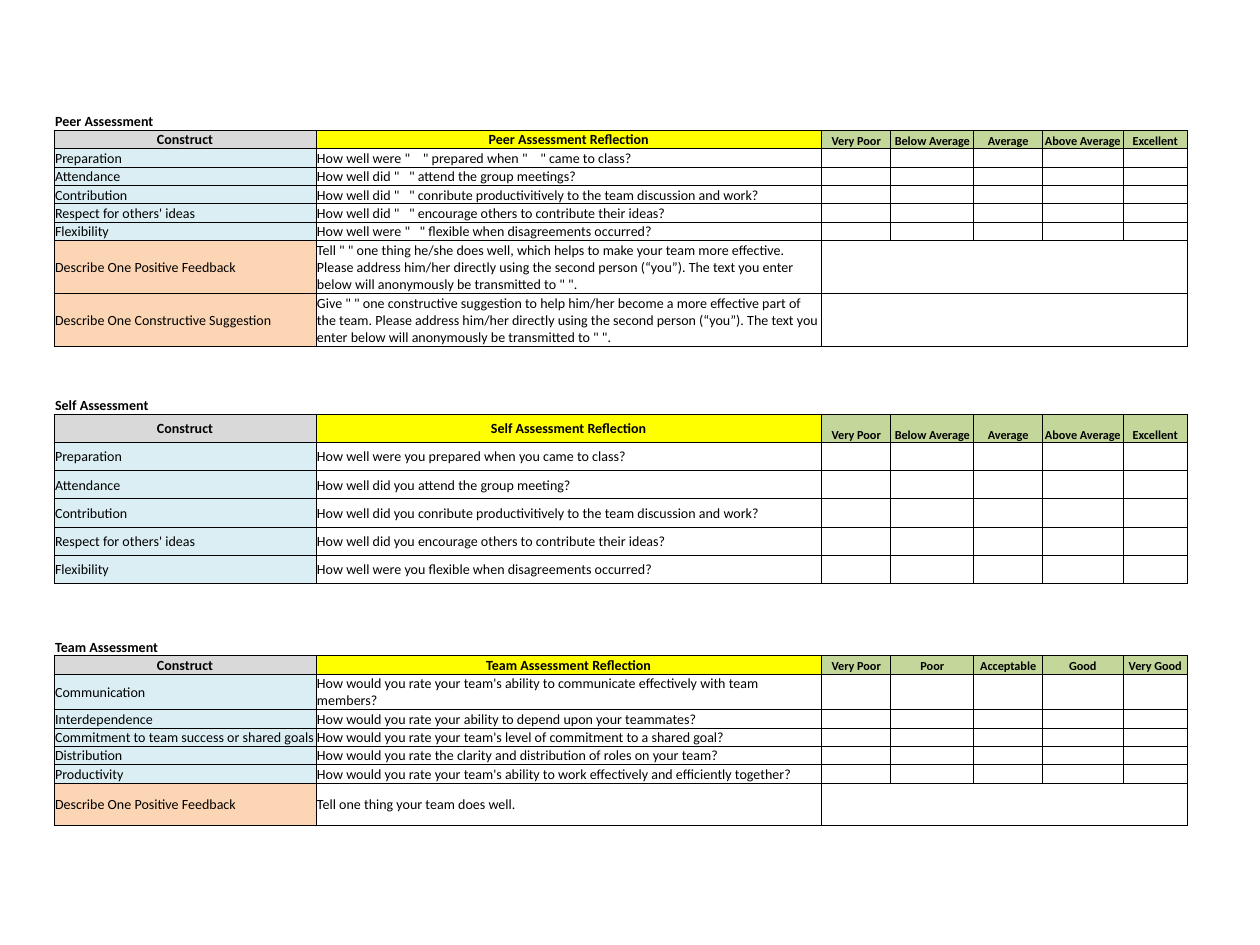
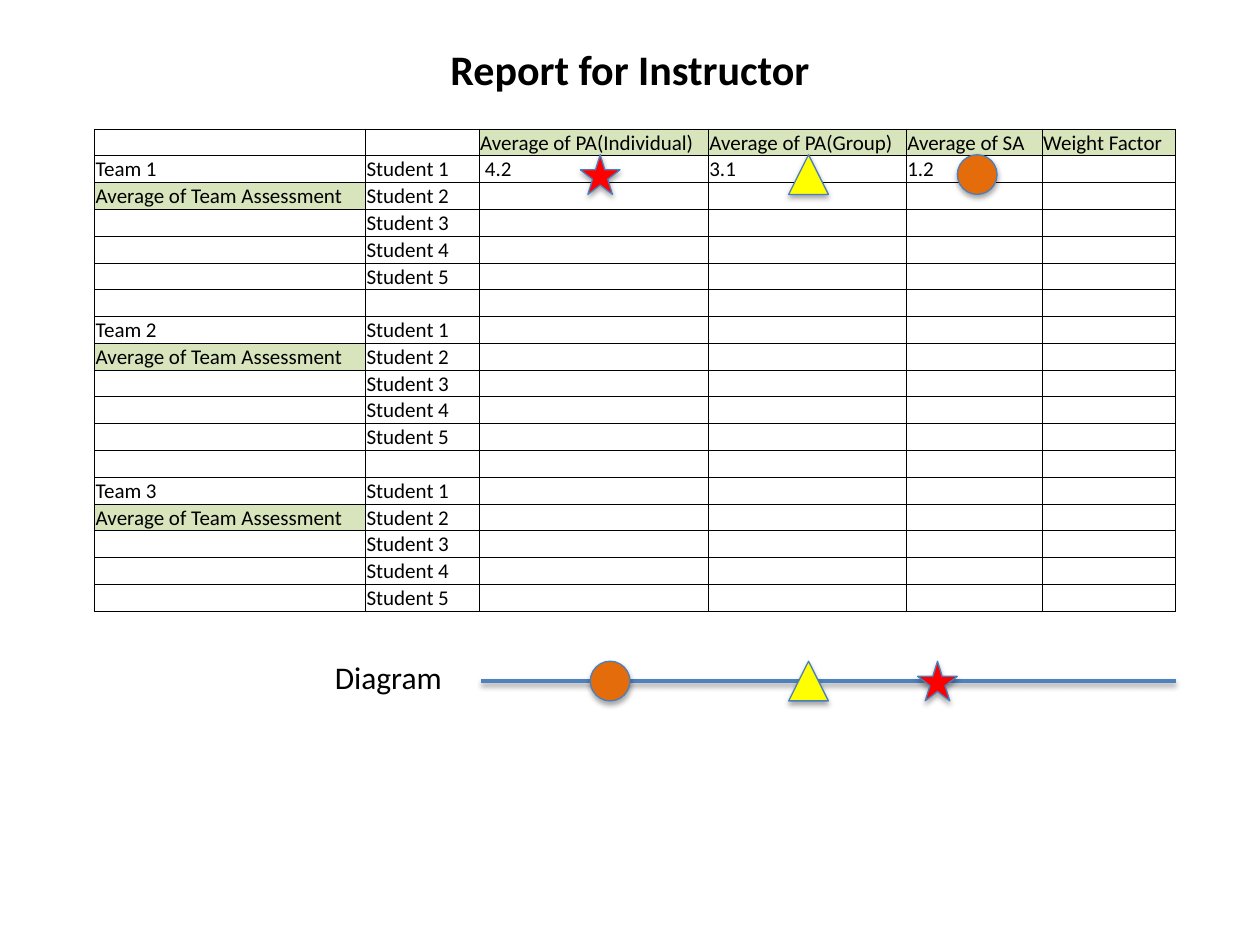
from lxml.etree import SubElement
from pptx import Presentation
from pptx.dml.color import RGBColor
from pptx.enum.shapes import MSO_CONNECTOR, MSO_SHAPE
from pptx.enum.text import MSO_ANCHOR, MSO_AUTO_SIZE, PP_ALIGN
from pptx.oxml.ns import qn
from pptx.util import Cm, Pt

FONT = "Calibri"
BLACK = RGBColor(0x00, 0x00, 0x00)
GREY = RGBColor(0xD9, 0xD9, 0xD9)
YELLOW = RGBColor(0xFF, 0xFF, 0x00)
GREEN = RGBColor(0xC4, 0xD7, 0x9B)
PALE_GREEN = RGBColor(0xD8, 0xE4, 0xBC)
PALE_BLUE = RGBColor(0xDA, 0xEE, 0xF3)
PEACH = RGBColor(0xFC, 0xD5, 0xB4)
ORANGE = RGBColor(0xE4, 0x6C, 0x0A)
RED = RGBColor(0xFF, 0x00, 0x00)
OUTLINE = RGBColor(0x4B, 0x7E, 0xBC)
AXIS_BLUE = RGBColor(0x4F, 0x81, 0xBD)

QUALITY = ["Very Poor", "Below Average", "Average", "Above Average", "Excellent"]
ABILITY = ["Very Poor", "Poor", "Acceptable", "Good", "Very Good"]
POSITIVE = "Describe One Positive Feedback"
LINE = 0.37

ASSESSMENTS = [
    dict(name="Self Assessment", top=7.62, scale=QUALITY,
         heights=[0.73] + [0.57] * 6,
         ratings=[
             ("Preparation", "How well were you prepared when you came to class?"),
             ("Attendance", "How well did you attend the group meeting?"),
             ("Contribution", "How well did you conribute productivitively to the team "
                              "discussion and work?"),
             ("Respect for others' ideas",
              "How well did you encourage others to contribute their ideas?"),
             ("Flexibility", "How well were you flexible when disagreements occurred?"),
         ],
         comments=[]),
    dict(name="Peer Assessment", top=2.26, scale=QUALITY,
         heights=[LINE] * 7 + [1.07] * 2,
         ratings=[
             ("Preparation", 'How well were "    " prepared when "    " came to class?'),
             ("Attendance", 'How well did "   " attend the group meetings?'),
             ("Contribution", 'How well did "   " conribute productivitively to the team '
                              'discussion and work?'),
             ("Respect for others' ideas",
              'How well did "   " encourage others to contribute their ideas?'),
             ("Flexibility", 'How well were "   " flexible when disagreements occurred?'),
         ],
         comments=[
             (POSITIVE,
              'Tell " " one thing he/she does well, which helps to make your team more '
              'effective. Please address him/her directly using the second person (“you”). '
              'The text you enter below will anonymously be transmitted to " ".'),
             ("Describe One Constructive Suggestion",
              'Give " " one constructive suggestion to help him/her become a more effective '
              'part of the team. Please address him/her directly using the second person '
              '(“you”). The text you enter below will anonymously be transmitted to " ".'),
         ]),
    dict(name="Team Assessment", top=12.85, scale=ABILITY,
         heights=[LINE] * 2 + [0.71] + [LINE] * 4 + [0.86],
         ratings=[
             ("Communication", "How would you rate your team's ability to communicate "
                               "effectively with team members?"),
             ("Interdependence",
              "How would you rate your ability to depend upon your teammates?"),
             ("Commitment to team success or shared goals",
              "How would you rate your team's level of commitment to a shared goal?"),
             ("Distribution",
              "How would you rate the clarity and distribution of roles on your team?"),
             ("Productivity", "How would you rate your team's ability to work effectively "
                              "and efficiently together?"),
         ],
         comments=[(POSITIVE, "Tell one thing your team does well.")]),
]
ASSESSMENT_WIDTHS = [5.28, 10.19, 1.4, 1.67, 1.39, 1.62, 1.3]

REPORT_HEADS = ["", "", "Average of PA(Individual)", "Average of PA(Group)",
                "Average of SA", "Weight Factor"]
REPORT_WIDTHS = [5.46, 2.29, 4.62, 3.99, 2.74, 2.68]
SCORES = ["\u00a04.2", "3.1\u00a0", "1.2\u00a0"]
TEAMS, STUDENTS = 3, 5
TEAM_AVERAGE = "Average of Team Assessment"

MARKERS = {
    "individual": (MSO_SHAPE.STAR_5_POINT, RED),
    "group": (MSO_SHAPE.ISOSCELES_TRIANGLE, YELLOW),
    "self": (MSO_SHAPE.OVAL, ORANGE),
}
MARKER_SIZE = 0.8
SCORE_MARKERS = [("self", 19.3), ("group", 15.9), ("individual", 11.7)]
DIAGRAM_MARKERS = [("individual", 18.5), ("group", 15.9), ("self", 11.9)]


def style(p, size, bold=False, align=PP_ALIGN.LEFT):
    p.alignment = align
    for r in p.runs:
        r.font.name, r.font.size, r.font.bold = FONT, Pt(size), bold
        r.font.color.rgb = BLACK


def set_borders(cell, sides):
    tcPr = cell._tc.get_or_add_tcPr()
    for i, side in enumerate("LRTB"):
        ln = SubElement(tcPr, qn("a:ln" + side), w=str(Pt(0.5)))
        if side in sides:
            fill = SubElement(ln, qn("a:solidFill"))
            SubElement(fill, qn("a:srgbClr"), val=str(BLACK))
        else:
            SubElement(ln, qn("a:noFill"))
        tcPr.insert(i, ln)


def set_cell(cell, text="", size=8, fill=None, bold=False, align=PP_ALIGN.LEFT,
             anchor=MSO_ANCHOR.MIDDLE, sides="LRTB"):
    cell.margin_left = cell.margin_right = cell.margin_top = Cm(0.02)
    cell.margin_bottom = 0
    cell.vertical_anchor = anchor
    if fill is None:
        cell.fill.background()
    else:
        cell.fill.solid()
        cell.fill.fore_color.rgb = fill
    p = cell.text_frame.paragraphs[0]
    if text:
        p.text = text
    style(p, size, bold, align)
    if not text:
        SubElement(p._p, qn("a:endParaRPr"), sz=str(size * 100))
    set_borders(cell, sides)


def add_grid(s, left, top, widths, heights):
    table = s.shapes.add_table(len(heights), len(widths), Cm(left), Cm(top),
                               Cm(sum(widths)), Cm(sum(heights))).table
    table.first_row = table.horz_banding = False
    for col, width in zip(table.columns, widths):
        col.width = Cm(width)
    for row, height in zip(table.rows, heights):
        row.height = Cm(height)
    return table


def add_assessment(s, name, top, scale, heights, ratings, comments):
    table = add_grid(s, 1.09, top, ASSESSMENT_WIDTHS, heights)
    for c in range(len(ASSESSMENT_WIDTHS)):
        set_cell(table.cell(0, c), name if c == 0 else "", bold=True,
                 anchor=MSO_ANCHOR.BOTTOM, sides="B")
    heads = [("Construct", GREY), (name + " Reflection", YELLOW)]
    for c, (text, fill) in enumerate(heads):
        set_cell(table.cell(1, c), text, fill=fill, bold=True, align=PP_ALIGN.CENTER)
    for c, text in enumerate(scale, len(heads)):
        set_cell(table.cell(1, c), text, 7, GREEN, True, PP_ALIGN.CENTER,
                 MSO_ANCHOR.BOTTOM)
    for i, (construct, question) in enumerate(ratings + comments):
        row, is_comment = i + 2, i >= len(ratings)
        set_cell(table.cell(row, 0), construct, fill=PEACH if is_comment else PALE_BLUE)
        set_cell(table.cell(row, 1), question)
        for c in range(2, len(ASSESSMENT_WIDTHS)):
            set_cell(table.cell(row, c))
        if is_comment:
            table.cell(row, 2).merge(table.cell(row, len(ASSESSMENT_WIDTHS) - 1))


def report_rows():
    rows = [REPORT_HEADS]
    for team in range(1, TEAMS + 1):
        if team > 1:
            rows.append([""] * 6)
        labels = [f"Team {team}", TEAM_AVERAGE] + [""] * (STUDENTS - 2)
        for i, label in enumerate(labels):
            scores = SCORES if team == 1 and i == 0 else [""] * 3
            rows.append([label, f"Student {i + 1}", *scores, ""])
    return rows


def add_shadow(shape, distance, opacity):
    effects = SubElement(shape._element.spPr, qn("a:effectLst"))
    shadow = SubElement(effects, qn("a:outerShdw"), blurRad=str(Pt(3.1)),
                        dist=str(Pt(distance)), dir="5400000", rotWithShape="0")
    color = SubElement(shadow, qn("a:srgbClr"), val=str(BLACK))
    SubElement(color, qn("a:alpha"), val=str(opacity * 1000))


def add_marker(shapes, kind, left, top):
    preset, fill = MARKERS[kind]
    sp = shapes.add_shape(preset, Cm(left), Cm(top), Cm(MARKER_SIZE), Cm(MARKER_SIZE))
    sp.fill.solid()
    sp.fill.fore_color.rgb = fill
    sp.line.color.rgb = OUTLINE
    sp.line.width = Pt(0.75)
    add_shadow(sp, 1.8, 35)


prs = Presentation()
prs.slide_width, prs.slide_height = Cm(25.4), Cm(19.05)

s = prs.slides.add_slide(prs.slide_layouts[6])
for assessment in ASSESSMENTS:
    add_assessment(s, **assessment)

s = prs.slides.add_slide(prs.slide_layouts[5])
title = s.shapes.title
title.left, title.top, title.width, title.height = Cm(8.7), Cm(0.74), Cm(8), Cm(1.28)
tf = title.text_frame
tf.text = "Report for Instructor"
tf.auto_size = MSO_AUTO_SIZE.NONE
style(tf.paragraphs[0], 24, True, PP_ALIGN.CENTER)

rows = report_rows()
table = add_grid(s, 1.91, 2.6, REPORT_WIDTHS, [0.54] * len(rows))
for r, row in enumerate(rows):
    for c, text in enumerate(row):
        shaded = text == TEAM_AVERAGE or (r == 0 and text)
        set_cell(table.cell(r, c), text, 12, PALE_GREEN if shaded else None,
                 anchor=MSO_ANCHOR.BOTTOM)
for kind, left in SCORE_MARKERS:
    add_marker(s.shapes, kind, left, 3.12)

diagram = s.shapes.add_group_shape().shapes
axis = diagram.add_connector(MSO_CONNECTOR.STRAIGHT, Cm(9.7), Cm(13.73), Cm(23.7), Cm(13.73))
axis.line.color.rgb = AXIS_BLUE
axis.line.width = Pt(2)
add_shadow(axis, 1.6, 38)
for kind, left in DIAGRAM_MARKERS:
    add_marker(diagram, kind, left, 13.33)
tf = diagram.add_textbox(Cm(6.5), Cm(13.14), Cm(2.8), Cm(1.03)).text_frame
tf.word_wrap = True
tf.text = "Diagram"
style(tf.paragraphs[0], 18)

prs.save("out.pptx")
